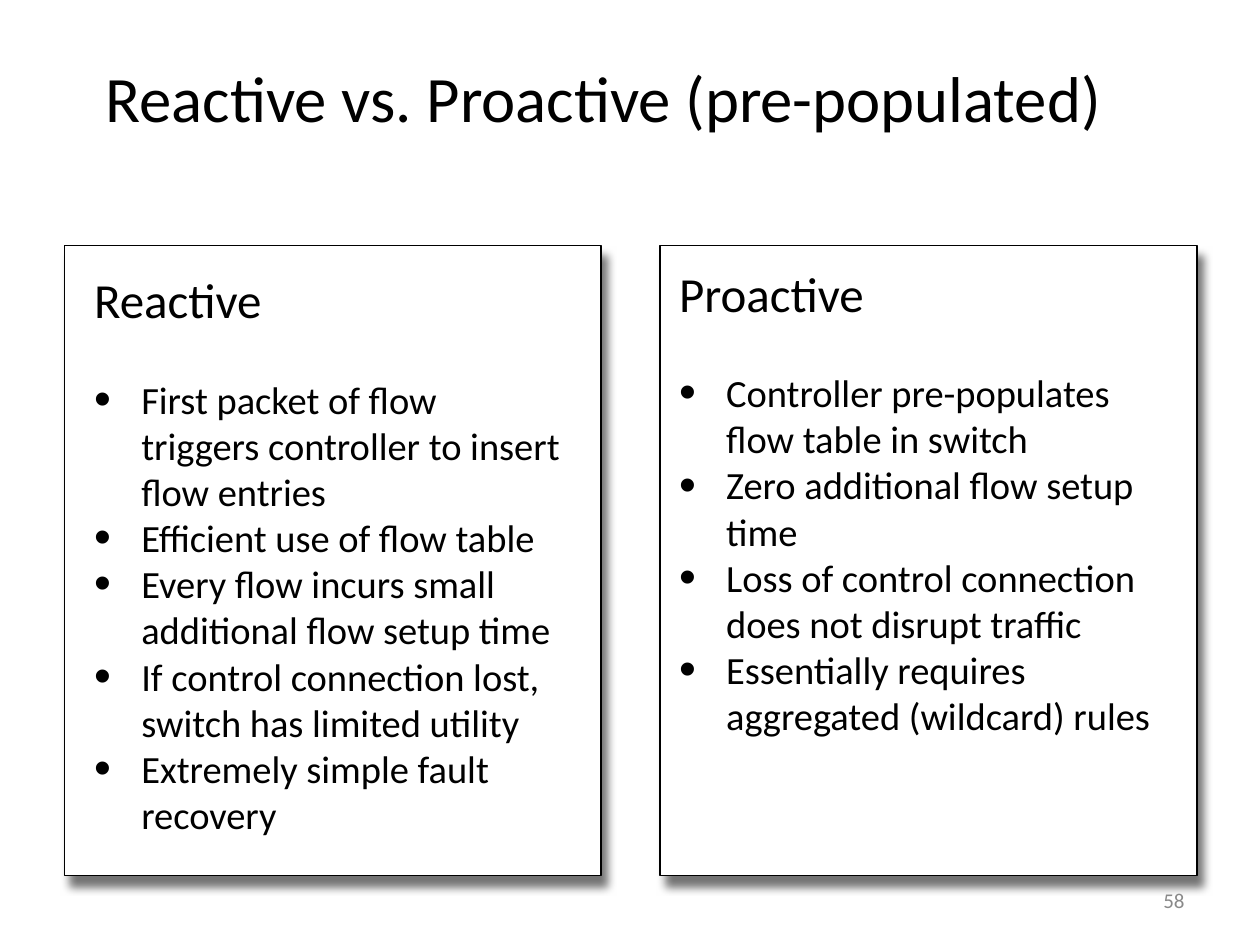
"""Build the slide comparing reactive and proactive flow setup."""
from dataclasses import dataclass

from lxml import etree
from pptx import Presentation
from pptx.dml.color import RGBColor
from pptx.enum import shapes, text
from pptx.oxml import ns
from pptx.util import Cm, Pt

BLACK = RGBColor(0x00, 0x00, 0x00)
WHITE = RGBColor(0xFF, 0xFF, 0xFF)
GREY = RGBColor(0x89, 0x89, 0x89)
FONT = "Calibri"
BULLET_INDENT = Cm(0.95)


@dataclass
class Panel:
    left: float
    text_left: float
    inset_x: float
    inset_y: float
    heading: str
    points: list[str]


PANELS = [
    Panel(1.3, 1.65, 0.25, 0.13, "Reactive", [
        "First packet of flow triggers controller to insert flow entries",
        "Efficient use of flow table",
        "Every flow incurs small additional flow setup time",
        "If control connection lost, switch has limited utility",
        "Extremely simple fault recovery",
    ]),
    Panel(13.31, 13.69, 0, 0, "Proactive", [
        "Controller pre-populates flow table in switch",
        "Zero additional flow setup time",
        "Loss of control connection does not disrupt traffic",
        "Essentially requires aggregated (wildcard) rules",
    ]),
]


def write(paragraph, words: str, *, size: float, color=BLACK,
          align=text.PP_ALIGN.LEFT, after: float = 0, bullet: bool = False) -> None:
    """Fill a paragraph with formatted text."""
    if bullet:
        properties = paragraph._p.get_or_add_pPr()
        properties.set("marL", str(BULLET_INDENT))
        properties.set("indent", str(-BULLET_INDENT))
        etree.SubElement(properties, ns.qn("a:buSzPct"), val="125000")
        etree.SubElement(properties, ns.qn("a:buFont"), typeface="Arial")
        etree.SubElement(properties, ns.qn("a:buChar"), char="•")
    paragraph.alignment = align
    paragraph.space_before = Pt(0)
    paragraph.space_after = Pt(after)
    run = paragraph.add_run()
    run.text = words
    run.font.name = FONT
    run.font.size = Pt(size)
    run.font.color.rgb = color


def add_shadow(shape) -> None:
    """Give a shape a soft shadow to the lower right."""
    shape.shadow.inherit = False
    effects = shape._element.spPr.find(ns.qn("a:effectLst"))
    shadow = etree.SubElement(
        effects, ns.qn("a:outerShdw"), blurRad=str(Pt(5)), dist=str(Pt(7)),
        dir=str(60 * 60000), algn="ctr", rotWithShape="0")
    color = etree.SubElement(shadow, ns.qn("a:srgbClr"), val=str(BLACK))
    etree.SubElement(color, ns.qn("a:alpha"), val="55000")


def draw_panel(slide, panel: Panel) -> None:
    """Draw a framed column with its heading and points."""
    frame = slide.shapes.add_shape(
        shapes.MSO_SHAPE.RECTANGLE, Cm(panel.left), Cm(4.95), Cm(10.82), Cm(12.7))
    frame.fill.solid()
    frame.fill.fore_color.rgb = WHITE
    frame.line.color.rgb = BLACK
    frame.line.width = Pt(1)
    add_shadow(frame)

    body = slide.shapes.add_textbox(
        Cm(panel.text_left), Cm(5.31), Cm(9.96), Cm(12.12)).text_frame
    body.word_wrap = True
    body.margin_left = body.margin_right = Cm(panel.inset_x)
    body.margin_top = body.margin_bottom = Cm(panel.inset_y)
    write(body.paragraphs[0], panel.heading, size=28, after=26.8)
    for point in panel.points:
        write(body.add_paragraph(), point, size=22, bullet=True)


def main() -> None:
    """Create and save the presentation."""
    deck = Presentation()
    deck.slide_width, deck.slide_height = Cm(25.4), Cm(19.05)
    slide = deck.slides.add_slide(deck.slide_layouts[5])

    title = slide.shapes.title
    title.left, title.top, title.width, title.height = Cm(1.88), Cm(0.61), Cm(21.69), Cm(3.4)
    heading = title.text_frame
    heading.vertical_anchor = text.MSO_ANCHOR.MIDDLE
    heading.auto_size = text.MSO_AUTO_SIZE.NONE
    heading.margin_bottom = Cm(0.84)
    write(heading.paragraphs[0], "Reactive vs. Proactive (pre-populated)", size=37)

    for panel in PANELS:
        draw_panel(slide, panel)

    page_number = slide.shapes.add_textbox(Cm(18.2), Cm(17.65), Cm(5.93), Cm(1.01)).text_frame
    page_number.word_wrap = True
    page_number.vertical_anchor = text.MSO_ANCHOR.MIDDLE
    write(page_number.paragraphs[0], "58", size=12, color=GREY, align=text.PP_ALIGN.RIGHT)

    deck.save("out.pptx")


if __name__ == "__main__":
    main()
